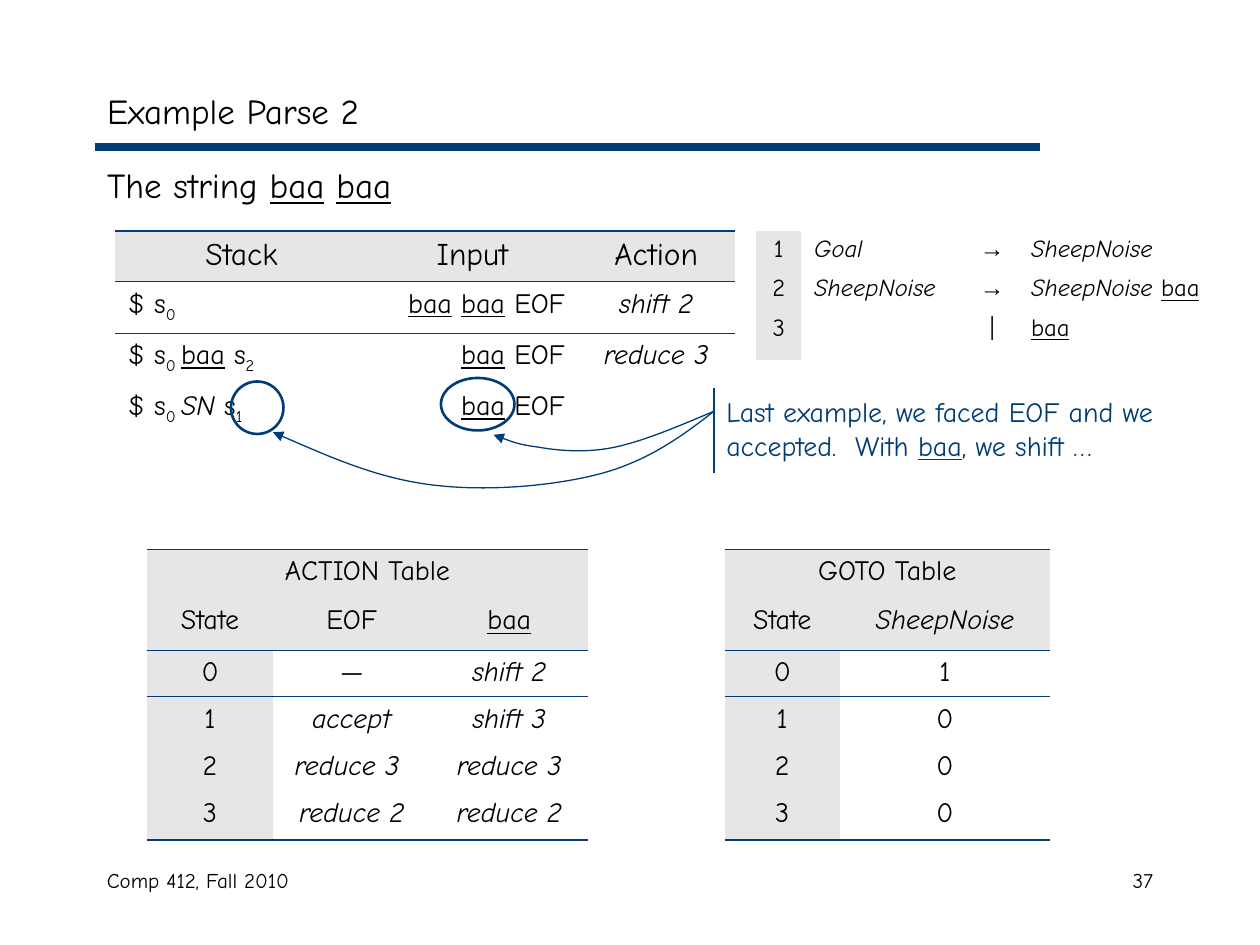
from lxml import etree
from pptx import Presentation
from pptx.dml.color import RGBColor
from pptx.enum.shapes import MSO_CONNECTOR, MSO_SHAPE
from pptx.enum.text import MSO_ANCHOR, MSO_AUTO_SIZE, PP_ALIGN
from pptx.oxml.ns import qn
from pptx.util import Pt

LEFT, CENTER, RIGHT = PP_ALIGN.LEFT, PP_ALIGN.CENTER, PP_ALIGN.RIGHT
TOP, MIDDLE = MSO_ANCHOR.TOP, MSO_ANCHOR.MIDDLE
NO_AUTOSIZE = MSO_AUTO_SIZE.NONE
STRAIGHT, ELLIPSE = MSO_CONNECTOR.STRAIGHT, MSO_SHAPE.OVAL
NO_TABLE_STYLE = "{2D5ABB26-0587-4C30-8999-92F81FD0307C}"
THICK, THIN = 1.08, 0.45


def color(hex_string):
    return RGBColor.from_string(hex_string)


def points(*lengths):
    return [Pt(length) for length in lengths]


def italic(text):
    return (text, "italic")


def sub(text):
    return (text, "sub")


BAA = ("baa", "underline")
ARROW = ("→", "symbol")


class SlideBuilder:
    font, symbol_font = "Comic Neue", "Arial"
    ink, accent, shade = "000000", "003C75", "E6E6E6"

    def __init__(self, slide):
        self.slide = slide
        self.shapes = slide.shapes

    def add_runs(self, paragraph, content, size, align=LEFT, ink=None):
        """Content is a string, a (text, style) pair or a list of these."""
        paragraph.alignment = align
        for part in content if isinstance(content, list) else [content]:
            text, style = part if isinstance(part, tuple) else (part, "")
            run = paragraph.add_run()
            run.text = text
            run.font.size = Pt(size)
            run.font.name = self.symbol_font if style == "symbol" else self.font
            run.font.color.rgb = color(ink or self.ink)
            if style == "italic":
                run.font.italic = True
            elif style == "underline":
                run.font.underline = True
            elif style == "sub":
                run.font._element.set("baseline", "-25000")

    def placeholder(self, index, box, content, size, anchor=TOP):
        holder = self.slide.placeholders[index]
        holder.left, holder.top, holder.width, holder.height = points(*box)
        frame = holder.text_frame
        frame.auto_size = NO_AUTOSIZE
        frame.vertical_anchor = anchor
        paragraph = frame.paragraphs[0]
        props = paragraph._p.get_or_add_pPr()
        props.set("marL", "0")
        props.set("indent", "0")
        etree.SubElement(props, qn("a:buNone"))
        paragraph.space_before = Pt(0)
        self.add_runs(paragraph, content, size)

    def text(self, box, content, size, align=LEFT, ink=None):
        frame = self.shapes.add_textbox(*points(*box)).text_frame
        frame.word_wrap = True
        self.add_runs(frame.paragraphs[0], content, size, align, ink)

    def stroke(self, shape, width):
        shape.line.color.rgb = color(self.accent)
        shape.line.width = Pt(width)

    def line(self, start, end, width):
        connector = self.shapes.add_connector(STRAIGHT, *points(*start, *end))
        self.stroke(connector, width)
        etree.SubElement(connector._element.spPr, qn("a:effectLst"))

    def ring(self, box):
        ring = self.shapes.add_shape(ELLIPSE, *points(*box))
        ring.shadow.inherit = False
        ring.fill.background()
        self.stroke(ring, 1.5)

    def curved_arrow(self, start, controls):
        """Draw cubic curves from start; every three control points make one curve."""
        builder = self.shapes.build_freeform(*points(*start))
        builder.add_line_segments([points(*point) for point in controls], close=False)
        arrow = builder.convert_to_shape()
        arrow.shadow.inherit = False
        arrow.fill.background()
        self.stroke(arrow, 0.75)
        segments = list(arrow._element.iter(qn("a:lnTo")))
        for i in range(0, len(segments), 3):
            curve = etree.Element(qn("a:cubicBezTo"))
            segments[i].addprevious(curve)
            for segment in segments[i:i + 3]:
                curve.append(segment[0])
                segment.getparent().remove(segment)
        etree.SubElement(arrow.line._get_or_add_ln(), qn("a:tailEnd"), type="triangle")

    def border(self, cell, side, width):
        edge = etree.SubElement(cell._tc.get_or_add_tcPr(), qn("a:" + side),
                                w=str(Pt(width)))
        fill = etree.SubElement(edge, qn("a:solidFill"))
        etree.SubElement(fill, qn("a:srgbClr"), val=self.accent)

    def table(self, origin, widths, heights, rows, size, aligns, rules,
              headers=0, header_size=None, shaded_column=True, body_fill=None,
              line_spacing=None):
        """Draw a table; rules maps a row boundary (0 is the top) to a line width."""
        frame = self.shapes.add_table(len(heights), len(widths),
                                      *points(*origin, sum(widths), sum(heights)))
        table = frame.table
        table.first_row = table.horz_banding = False
        table._tbl.tblPr.find(qn("a:tableStyleId")).text = NO_TABLE_STYLE
        for column, width in zip(table.columns, widths):
            column.width = Pt(width)
        for r, height in enumerate(heights):
            table.rows[r].height = Pt(height)
            contents = rows[r] if r < len(rows) else []
            is_header = r < headers
            for c, align in enumerate(aligns):
                cell = table.cell(r, c)
                for side, boundary in (("lnT", r), ("lnB", r + 1)):
                    if boundary in rules:
                        self.border(cell, side, rules[boundary])
                fill = self.shade if is_header or (shaded_column and c == 0) else body_fill
                if fill:
                    cell.fill.solid()
                    cell.fill.fore_color.rgb = color(fill)
                else:
                    cell.fill.background()
                if c < len(contents) and contents[c]:
                    paragraph = cell.text_frame.paragraphs[0]
                    if line_spacing:
                        paragraph.line_spacing = line_spacing
                    self.add_runs(paragraph, contents[c],
                                  header_size if is_header else size,
                                  CENTER if is_header else align)
        return table

    def state_table(self, left, widths, rows):
        table = self.table((left, 314), widths, [28, 29.5, 26.75, 27, 26.75, 28],
                           rows, 16, [CENTER] * len(widths),
                           {0: THICK, 2: THIN, 6: THICK},
                           headers=2, header_size=16, body_fill="FFFFFF")
        table.cell(0, 0).merge(table.cell(0, len(widths) - 1))


def main():
    deck = Presentation()
    deck.slide_width, deck.slide_height = points(720, 540)
    page = SlideBuilder(deck.slides.add_slide(deck.slide_layouts[1]))

    page.line((54, 84), (594, 84), 4.5)
    page.text((54, 492, 228, 36), "Comp 412, Fall 2010", 12)
    page.text((516, 492, 150, 36), "37", 12, RIGHT)
    page.placeholder(0, (54, 42, 612, 42), "Example Parse 2", 20, MIDDLE)
    page.placeholder(1, (54, 90, 612, 42), ["The string ", BAA, " ", BAA], 20)

    page.state_table(84, [72, 90, 90], [
        ["ACTION Table"],
        ["State", "EOF", BAA],
        ["0", italic("—"), italic("shift 2")],
        ["1", italic("accept"), italic("shift 3")],
        ["2", italic("reduce 3 "), italic("reduce 3")],
        ["3", italic("reduce 2"), italic("reduce 2")],
    ])
    page.state_table(414, [66, 120], [
        ["GOTO Table"],
        ["State", italic("SheepNoise")],
        ["0", "1"], ["1", "0"], ["2", "0"], ["3", "0"],
    ])

    page.table((66, 132), [144, 120, 90], [29] + [29.25] * 4 + [27], [
        ["Stack", "Input", "Action"],
        [["$ s", sub("0")], [BAA, " ", BAA, " EOF"], italic("shift 2")],
        [["$ s", sub("0 "), BAA, " s", sub("2")], [BAA, " EOF"], italic("reduce 3")],
        [["$ s", sub("0 "), italic("SN"), " s", sub("1")], [BAA, " EOF"]],
    ], 16, [LEFT, RIGHT, CENTER], {0: THICK, 1: THIN},
        headers=1, header_size=18, shaded_column=False)

    page.text((408, 222, 282, 46),
              ["Last example, we faced EOF and we accepted.  With ", BAA, ", we shift …"],
              16, ink=page.accent)
    page.ring((132, 218, 30, 30))
    page.ring((252, 216, 42, 30))
    page.line((408, 222), (408, 270), 1.5)
    page.curved_arrow((408, 235), [
        (388, 243.5), (368, 252), (351.5, 255.5),
        (335, 259), (319, 257.5), (307.5, 255.5),
        (296, 254), (289, 251), (282, 248.5)])
    page.curved_arrow((408, 235), [
        (389, 250), (369, 264), (342, 271),
        (314.5, 278), (277, 281), (246, 277),
        (215, 273), (186, 260), (156, 247)])

    page.table((432, 132), [26, 94, 30, 120], [22.5, 22.5, 24], [
        ["1", italic("Goal"), ARROW, italic("SheepNoise")],
        ["2", italic("SheepNoise"), ARROW, [italic("SheepNoise "), BAA]],
        ["3", None, "|", BAA],
    ], 14, [CENTER, LEFT, CENTER, LEFT], {}, line_spacing=0.9)

    deck.save("out.pptx")


if __name__ == "__main__":
    main()
